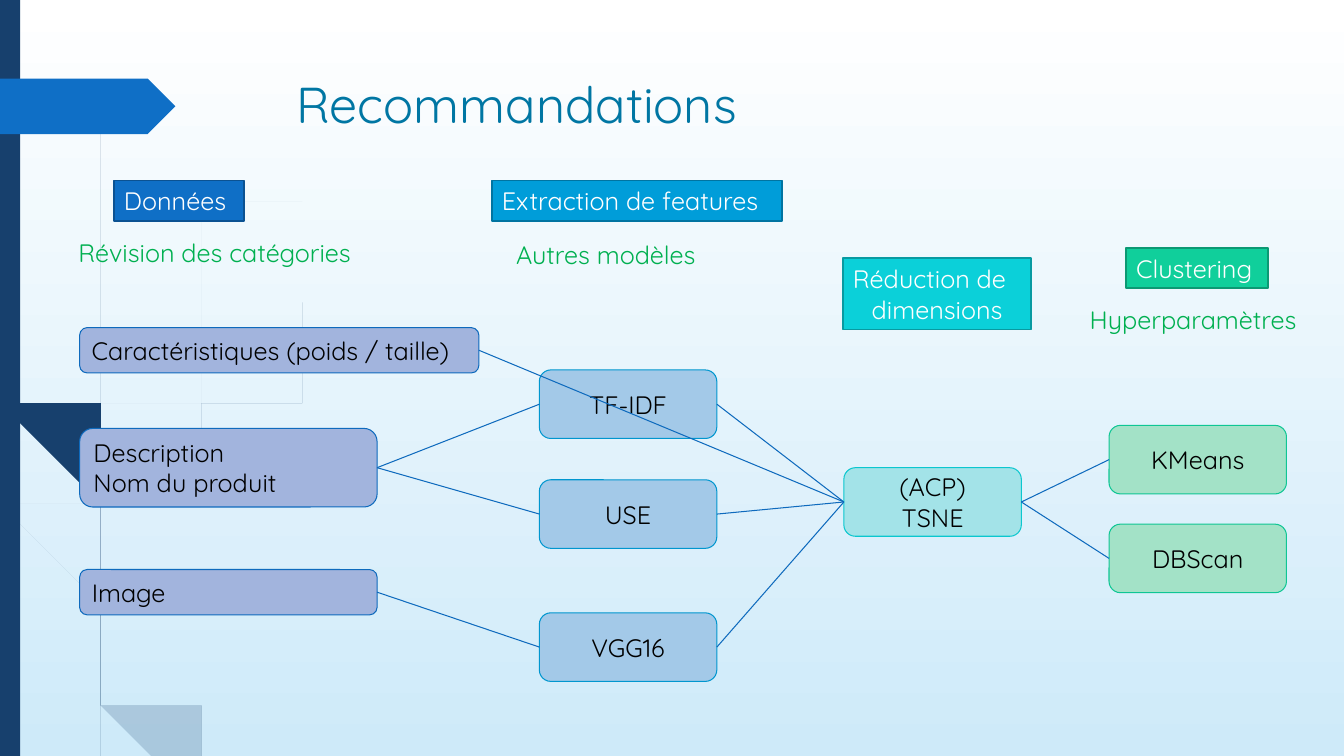
from lxml.etree import SubElement
from pptx import Presentation
from pptx.dml.color import RGBColor
from pptx.enum.shapes import MSO_CONNECTOR, MSO_SHAPE
from pptx.enum.text import MSO_ANCHOR, PP_ALIGN
from pptx.oxml.ns import qn
from pptx.util import Inches, Pt

FONT = "Quicksand"
NAVY, BLUE, BLACK, GREEN = "17406D", "0F6FC6", "000000", "00B050"
DATA = ("A2B4DD", "0E6ABD")
MODEL = ("A3C9E8", "0096CF")
REDUCE = ("A3E3E8", "0BC7CF")
CLUSTER = ("A3E2C7", "0FC694")

# Each strand row: left edge, right edge, height on the slide
PALE = [
    [(-0.02, 0, 2.82), (0.1, 0.13, 3.47), (0.28, 0.31, 4.25), (0.58, 0.62, 5.21),
     (0.84, 0.88, 5.97), (1.23, 1.27, 6.93), (1.5, 1.55, 7.5)],
    [(0.11, 0.11, 3.5), (0.17, 0.18, 3.8), (0.28, 0.31, 4.7), (0.65, 0.7, 6.2),
     (0.92, 0.99, 6.95), (1.14, 1.24, 7.5)],
    [(3.11, 3.12, 1.53), (2.67, 2.69, 1.98), (2.27, 2.3, 2.44), (1.58, 1.61, 3.48),
     (1.07, 1.1, 4.61), (0.85, 0.88, 5.84), (0.87, 0.91, 6.46), (1.04, 1.05, 7.11)],
]
DARK = [
    [(0.03, 0.04, 0), (0.07, 0.08, 1.1), (0.17, 0.19, 2.33), (0.33, 0.36, 3.55),
     (0.56, 0.6, 4.75), (0.88, 0.93, 5.91), (1.32, 1.36, 7.07), (1.52, 1.57, 7.5)],
    [(0.7, 0.7, 1.41), (0.56, 0.58, 2.45), (0.52, 0.54, 3.49), (0.55, 0.58, 4.5),
     (0.68, 0.72, 5.57), (0.93, 0.98, 6.58), (1.27, 1.36, 7.5)],
    [(2.59, 2.61, 3.44), (2.3, 2.32, 3.74), (2.03, 2.06, 4.05), (1.56, 1.59, 4.75),
     (1.22, 1.25, 5.52), (1.06, 1.11, 6.32), (1.1, 1.16, 6.91), (1.21, 1.22, 7.2)],
]


def rgb(code):
    """Turn a hex string into a colour."""
    return RGBColor.from_string(code)


def paint(shape, fill, line=None, width=0.75):
    """Give a shape its fill and outline, without shadow."""
    shape.shadow.inherit = False
    shape.fill.solid()
    shape.fill.fore_color.rgb = rgb(fill)
    if line:
        shape.line.color.rgb = rgb(line)
        shape.line.width = Pt(width)
    else:
        shape.line.fill.background()


def write(shape, lines, color, aligns, size=18, anchor=MSO_ANCHOR.MIDDLE):
    """Write one paragraph per line, each with its alignment."""
    frame = shape.text_frame
    frame.word_wrap = True
    frame.vertical_anchor = anchor
    frame.text = "\n".join(lines)
    for par, align in zip(frame.paragraphs, aligns):
        par.alignment = align
        par.font.name = FONT
        par.font.size = Pt(size)
        par.font.color.rgb = rgb(color)


def smooth(rows, steps=8):
    """Refine strand rows along a Catmull-Rom curve."""
    ends = [rows[0], *rows, rows[-1]]
    fine = []
    for a, b, c, d in zip(ends, ends[1:], ends[2:], ends[3:]):
        for i in range(steps):
            t = i / steps
            fine.append([
                (2 * q + (r - p) * t + (2 * p - 5 * q + 4 * r - s) * t ** 2
                 + (3 * q - p - 3 * r + s) * t ** 3) / 2
                for p, q, r, s in zip(a, b, c, d)])
    return fine + [rows[-1]]


def strand(slide, rows, alpha=None):
    """Draw a tapering blade of grass."""
    fine = smooth(rows)
    edge = [(l, y) for l, _, y in fine] + [(r, y) for _, r, y in reversed(fine)]
    pen = slide.shapes.build_freeform(*edge[0], scale=Inches(1))
    pen.add_line_segments(edge[1:], close=True)
    blade = pen.convert_to_shape()
    paint(blade, NAVY)
    if alpha:
        tone = blade.fill._xPr.find(".//" + qn("a:srgbClr"))
        SubElement(tone, qn("a:alpha"), val=str(alpha * 1000))


def block(slide, kind, box, fill, line=None, width=0.75):
    """Add a painted preset shape."""
    shape = slide.shapes.add_shape(kind, *map(Inches, box))
    paint(shape, fill, line, width)
    return shape


def header(slide, box, lines, fill, line):
    """Add a column heading."""
    shape = block(slide, MSO_SHAPE.RECTANGLE, box, fill, line, 1.25)
    write(shape, lines, "FFFFFF", [PP_ALIGN.LEFT, PP_ALIGN.CENTER])


def node(slide, box, lines, tones, align=PP_ALIGN.CENTER):
    """Add a rounded step of the flow."""
    shape = block(slide, MSO_SHAPE.ROUNDED_RECTANGLE, box, *tones)
    write(shape, lines, BLACK, [align] * len(lines))
    return shape


def step(slide, left, top, lines, tones):
    """Add a node of the common size."""
    return node(slide, (left, top, 1.76, 0.68), lines, tones)


def note(slide, box, text):
    """Add a green remark."""
    shape = slide.shapes.add_textbox(*map(Inches, box))
    write(shape, [text], GREEN, [PP_ALIGN.LEFT])


def link(slide, start, end):
    """Join the right side of one node to the left of the next."""
    wire = slide.shapes.add_connector(MSO_CONNECTOR.STRAIGHT, 0, 0, 0, 0)
    wire.begin_connect(start, 3)
    wire.end_connect(end, 1)
    wire.line.color.rgb = rgb(DATA[1])
    wire.line.width = Pt(0.75)
    SubElement(wire._element.spPr, qn("a:effectLst"))


def decor(slide):
    """Draw the backdrop, grass, side band and arrow tab."""
    fill = slide.background.fill
    fill.gradient()
    fill.gradient_angle = 270
    for stop, (place, code) in zip(fill.gradient_stops, [(0, "FFFFFF"), (1, "CEEAF9")]):
        stop.position = place
        stop.color.rgb = rgb(code)
    for rows in PALE:
        strand(slide, rows, 20)
    for rows in DARK:
        strand(slide, rows)
    block(slide, MSO_SHAPE.RECTANGLE, (0, 0, 0.2, 7.5), NAVY)
    block(slide, MSO_SHAPE.PENTAGON, (0, 0.78, 1.74, 0.55), BLUE)


def flow(slide):
    """Draw the nodes and their links."""
    left = PP_ALIGN.LEFT
    traits = node(slide, (0.79, 3.25, 3.96, 0.45), ["Caractéristiques (poids / taille)"], DATA, left)
    words = node(slide, (0.79, 4.25, 2.95, 0.78), ["Description", "Nom du produit"], DATA, left)
    image = node(slide, (0.79, 5.65, 2.95, 0.45), ["Image"], DATA, left)
    tfidf, use, vgg = [step(slide, 5.35, top, [name], MODEL) for top, name in
                       [(3.67, "TF-IDF"), (4.76, "USE"), (6.08, "VGG16")]]
    tsne = step(slide, 8.37, 4.64, ["(ACP)", "TSNE"], REDUCE)
    groups = [step(slide, 11, top, [name], CLUSTER) for top, name in
              [(4.22, "KMeans"), (5.2, "DBScan")]]
    pairs = [(words, tfidf), (words, use), (image, vgg)]
    pairs += [(item, tsne) for item in (traits, tfidf, use, vgg)]
    pairs += [(tsne, group) for group in groups]
    for start, end in pairs:
        link(slide, start, end)


def main():
    """Build the slide and save it."""
    deck = Presentation()
    deck.slide_width, deck.slide_height = Inches(13.33), Inches(7.5)
    slide = deck.slides.add_slide(deck.slide_layouts[5])
    decor(slide)
    title = slide.shapes.title
    title.left, title.top, title.width, title.height = map(Inches, (2.84, 0.68, 9.75, 1.4))
    write(title, ["Recommandations"], "0076A3", [PP_ALIGN.LEFT], 36, MSO_ANCHOR.TOP)
    header(slide, (1.13, 1.79, 1.29, 0.4), ["Données"], BLUE, "0B5292")
    header(slide, (4.88, 1.79, 2.88, 0.4), ["Extraction de features"], "009DD9", "0074A1")
    header(slide, (8.36, 2.56, 1.87, 0.71), ["Réduction de", "dimensions"], "0BD0D9", "089AA1")
    header(slide, (11.17, 2.46, 1.41, 0.4), ["Clustering"], "10CF9B", "0C9973")
    flow(slide)
    note(slide, (0.68, 2.3, 3.06, 0.4), "Révision des catégories")
    note(slide, (5.02, 2.32, 2.09, 0.4), "Autres modèles")
    note(slide, (10.71, 2.97, 2.34, 0.4), "Hyperparamètres")
    deck.save("out.pptx")


if __name__ == "__main__":
    main()
